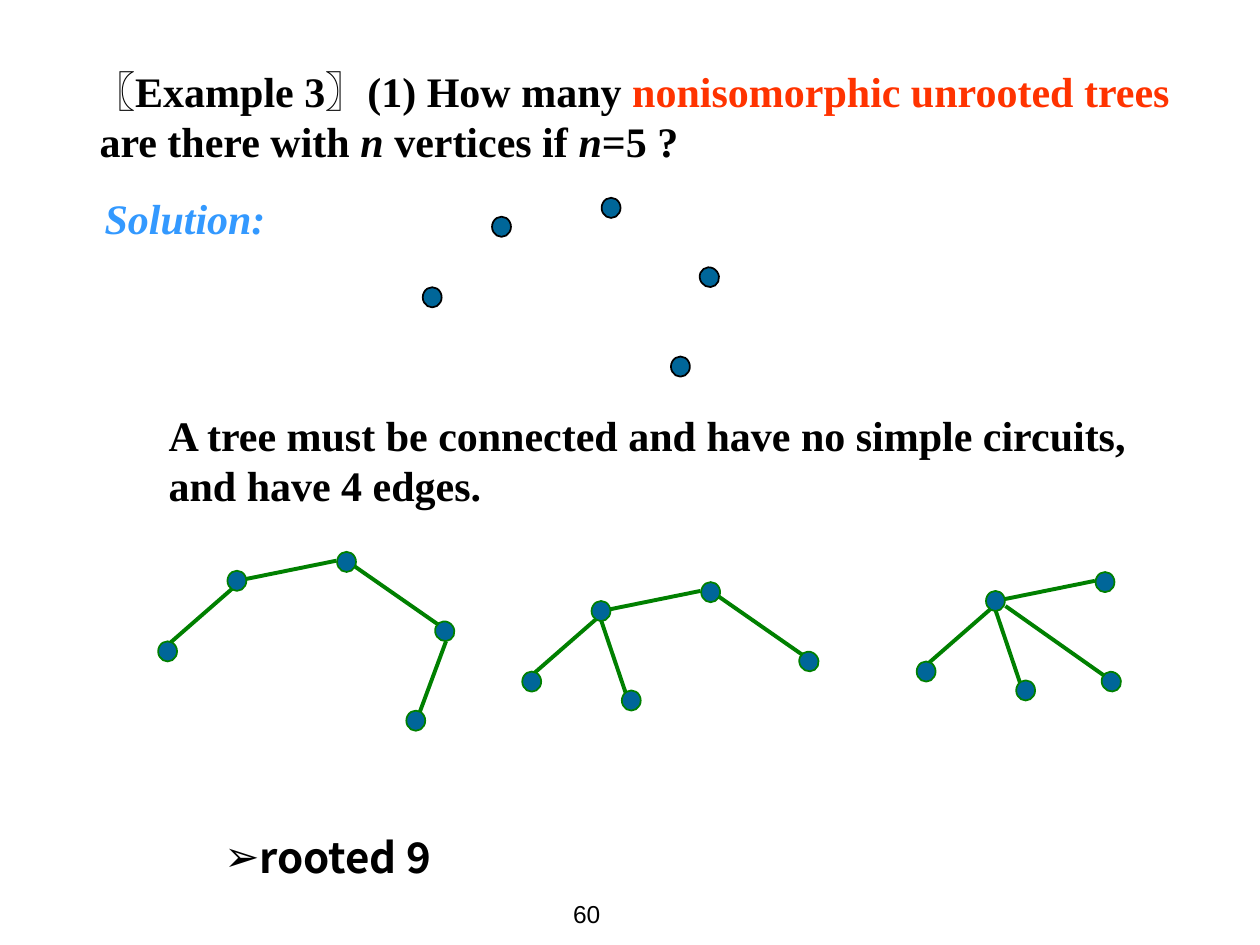
from dataclasses import dataclass

from lxml import etree
from pptx import Presentation
from pptx.dml.color import RGBColor
from pptx.enum.shapes import MSO_CONNECTOR, MSO_SHAPE
from pptx.enum.text import MSO_ANCHOR, MSO_AUTO_SIZE, PP_ALIGN
from pptx.oxml.ns import qn
from pptx.util import Inches, Pt

OVAL = MSO_SHAPE.OVAL
STRAIGHT = MSO_CONNECTOR.STRAIGHT
TOP, MIDDLE = MSO_ANCHOR.TOP, MSO_ANCHOR.MIDDLE
LEFT = PP_ALIGN.LEFT
NO_AUTOFIT = MSO_AUTO_SIZE.NONE

COLORS = {
    "text": "000000",
    "emphasis": "FF3300",
    "solution": "3399FF",
    "vertex": "006699",
    "edge": "008000",
}
SERIF = "Times New Roman"
VERTEX_WIDTH, VERTEX_HEIGHT = 0.15, 0.16
TILT = -35.2

Point = tuple[float, float]


@dataclass(frozen=True)
class TextRun:
    text: str
    color: str = "text"
    italic: bool = False
    bold: bool = True
    font: str = SERIF
    size: float = 24


@dataclass(frozen=True)
class Vertex:
    """A vertex centre, measured from the hub of its tree."""
    x: float
    y: float
    rotation: float = 0


@dataclass(frozen=True)
class Tree:
    hub: Point
    vertices: tuple[Vertex, ...]
    edges: tuple[tuple[Point, Point], ...] = ()
    outline: str = "edge"


HUB = Vertex(0, 0)
LEFT_VERTEX = Vertex(-0.55, 0.56)
TOP_VERTEX = Vertex(0.87, -0.15)
RIGHT_VERTEX = Vertex(1.65, 0.4, TILT)
FAR_BOTTOM = Vertex(1.42, 1.11)
NEAR_BOTTOM = Vertex(0.24, 0.71)
NEAR_RIGHT = Vertex(0.92, 0.64, TILT)

HUB_LEFT = ((-0.55, 0.51), (0, 0.03))
HUB_TOP = ((0, 0), (0.79, -0.16))
HUB_BOTTOM = ((0, 0.07), (0.24, 0.78))
HUB_RIGHT = ((0.08, 0.04), (0.86, 0.59))
TOP_RIGHT = ((0.87, -0.16), (1.66, 0.39))
RIGHT_BOTTOM = ((1.66, 0.48), (1.43, 1.1))

PATH_VERTICES = (HUB, LEFT_VERTEX, TOP_VERTEX, RIGHT_VERTEX, FAR_BOTTOM)
TREES = (
    Tree((3.98, 1.8), PATH_VERTICES, outline="text"),
    Tree((1.88, 4.61), PATH_VERTICES,
         (HUB_LEFT, HUB_TOP, TOP_RIGHT, RIGHT_BOTTOM)),
    Tree((4.77, 4.85),
         (HUB, LEFT_VERTEX, TOP_VERTEX, RIGHT_VERTEX, NEAR_BOTTOM),
         (HUB_LEFT, HUB_TOP, HUB_BOTTOM, TOP_RIGHT)),
    Tree((7.9, 4.77),
         (HUB, LEFT_VERTEX, TOP_VERTEX, NEAR_RIGHT, NEAR_BOTTOM),
         (HUB_LEFT, HUB_TOP, HUB_BOTTOM, HUB_RIGHT)),
)


def rgb(name: str) -> RGBColor:
    return RGBColor.from_string(COLORS[name])


def place(shape, left: float, top: float, width: float, height: float) -> None:
    shape.left, shape.top = Inches(left), Inches(top)
    shape.width, shape.height = Inches(width), Inches(height)


def prepare_frame(shape, wrap: bool = True, anchor=TOP):
    frame = shape.text_frame
    frame.auto_size = NO_AUTOFIT
    frame.word_wrap = wrap
    frame.vertical_anchor = anchor
    return frame


def fill_paragraph(paragraph, runs: list[TextRun], margin: float = 0,
                   indent: float = 0, space_before: float = 0,
                   bullet: str = "") -> None:
    properties = paragraph._p.get_or_add_pPr()
    properties.set("marL", str(Inches(margin)))
    properties.set("indent", str(Inches(indent)))
    if bullet:
        etree.SubElement(properties, qn("a:buChar"), char=bullet)
    paragraph.alignment = LEFT
    paragraph.space_before = Pt(space_before)
    for item in runs:
        run = paragraph.add_run()
        run.text = item.text
        font = run.font
        font.name, font.size = item.font, Pt(item.size)
        font.bold, font.italic = item.bold, item.italic
        font.color.rgb = rgb(item.color)


def draw_edge(slide, hub: Point, start: Point, end: Point) -> None:
    connector = slide.shapes.add_connector(
        STRAIGHT,
        Inches(hub[0] + start[0]), Inches(hub[1] + start[1]),
        Inches(hub[0] + end[0]), Inches(hub[1] + end[1]))
    connector.line.color.rgb = rgb("edge")
    connector.line.width = Pt(2.25)
    etree.SubElement(connector._element.spPr, qn("a:effectLst"))


def draw_vertex(slide, hub: Point, vertex: Vertex, outline: str) -> None:
    shape = slide.shapes.add_shape(
        OVAL,
        Inches(hub[0] + vertex.x - VERTEX_WIDTH / 2),
        Inches(hub[1] + vertex.y - VERTEX_HEIGHT / 2),
        Inches(VERTEX_WIDTH), Inches(VERTEX_HEIGHT))
    shape.rotation = vertex.rotation
    shape.shadow.inherit = False
    shape.fill.solid()
    shape.fill.fore_color.rgb = rgb("vertex")
    shape.line.color.rgb = rgb(outline)
    shape.line.width = Pt(1)


def draw_tree(slide, tree: Tree) -> None:
    for start, end in tree.edges:
        draw_edge(slide, tree.hub, start, end)
    for vertex in tree.vertices:
        draw_vertex(slide, tree.hub, vertex, tree.outline)


def add_question(slide) -> None:
    title = slide.shapes.title
    place(title, 0.31, 0.47, 9.22, 1.81)
    frame = prepare_frame(title)
    fill_paragraph(frame.paragraphs[0], [
        TextRun("〖Example 3〗(1) How many "),
        TextRun("nonisomorphic unrooted trees", "emphasis"),
        TextRun(" are there with "),
        TextRun("n ", italic=True),
        TextRun("vertices if "),
        TextRun("n", italic=True),
        TextRun("=5 ?"),
    ], margin=0.38, indent=-0.05)
    fill_paragraph(frame.add_paragraph(),
                   [TextRun("Solution:", "solution", italic=True)],
                   margin=0.38, indent=0.04, space_before=15)


def add_rooted_count(slide) -> None:
    body = slide.placeholders[1]
    place(body, 1.68, 6.55, 2.45, 0.5)
    fill_paragraph(prepare_frame(body).paragraphs[0],
                   [TextRun("rooted 9", font="Noto Sans CJK SC")], bullet="➢")


def add_text(slide, box: tuple[float, ...], run: TextRun, margin: float = 0,
             wrap: bool = True, anchor=TOP) -> None:
    shape = slide.shapes.add_textbox(*(Inches(length) for length in box))
    frame = prepare_frame(shape, wrap, anchor)
    fill_paragraph(frame.paragraphs[0], [run], margin=margin)


def main() -> None:
    presentation = Presentation()
    presentation.slide_width, presentation.slide_height = Inches(10), Inches(7.5)
    slide = presentation.slides.add_slide(presentation.slide_layouts[1])
    add_question(slide)
    add_rooted_count(slide)
    add_text(slide, (0.86, 3.2, 8.74, 1.1), TextRun(
        "A tree must be connected and have no simple circuits, "
        "and have 4 edges."), margin=0.38)
    add_text(slide, (4.45, 7, 0.67, 0.5),
             TextRun("60", bold=False, font="Arial", size=14),
             wrap=False, anchor=MIDDLE)
    for tree in TREES:
        draw_tree(slide, tree)
    presentation.save("out.pptx")


if __name__ == "__main__":
    main()
